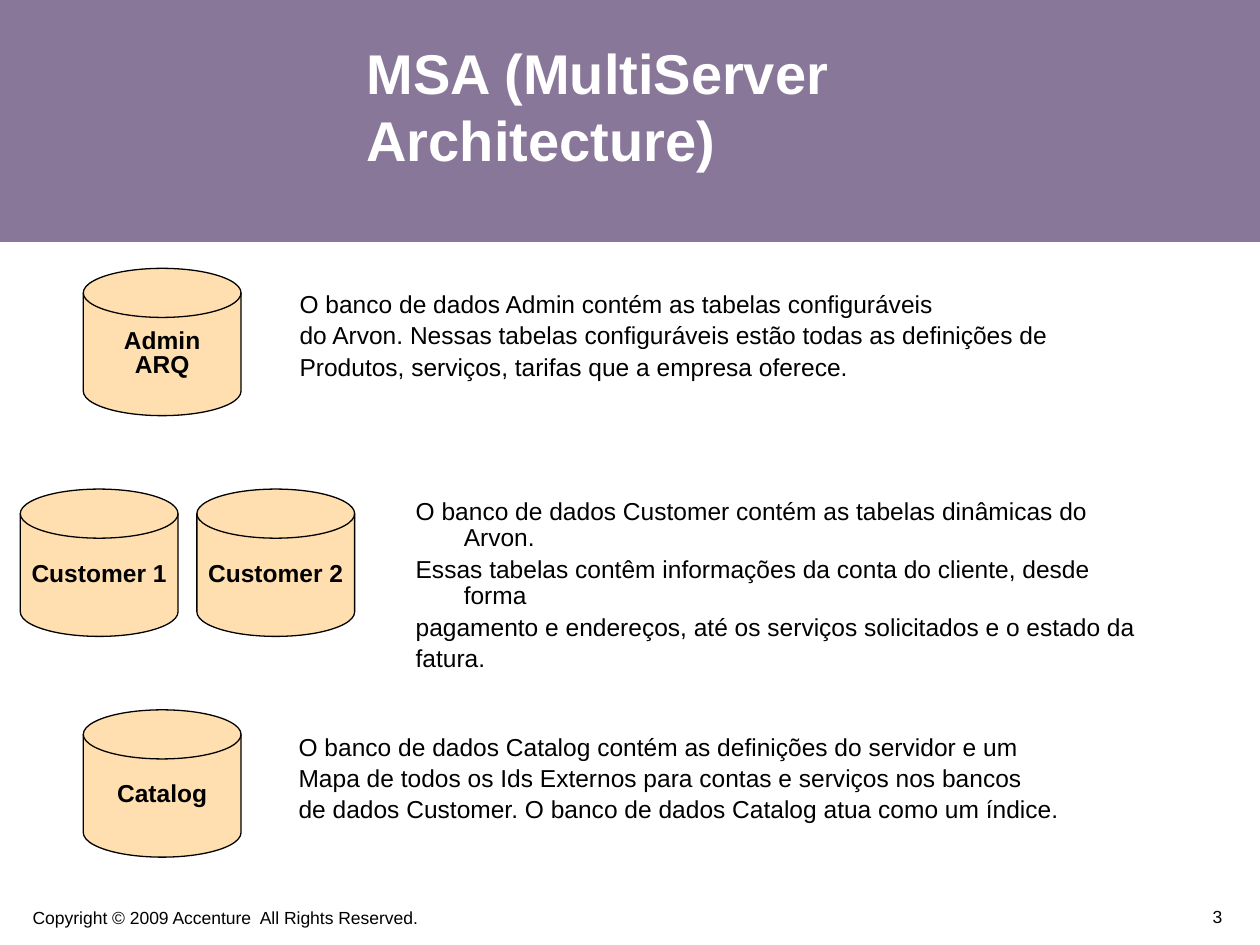
from pptx import Presentation
from pptx.dml.color import RGBColor
from pptx.enum.shapes import MSO_SHAPE as Shape
from pptx.enum.text import MSO_ANCHOR as Anchor, PP_ALIGN as Align
from pptx.util import Cm, Pt

PURPLE = RGBColor(0x88, 0x77, 0x99)
PEACH = RGBColor(0xFF, 0xDF, 0xAF)
BLACK = RGBColor(0, 0, 0)
WHITE = RGBColor(0xFF, 0xFF, 0xFF)

SLIDE_W, SLIDE_H = 25.4, 19.05
DISK_W, DISK_H = 3.18, 2.97
ROW_TOP, ROW_PITCH = 5.41, 4.45
HANGING = Cm(0.97)

ROWS = [
    (1.68, ["Admin\nARQ"], (4.11, 0.36, 18.24),
     ["O banco de dados Admin contém as tabelas configuráveis",
      "do Arvon. Nessas tabelas configuráveis estão todas as definições de",
      "Produtos, serviços, tarifas que a empresa oferece."]),
    (0.41, ["Customer 1", "Customer 2"], (7.72, 0.08, 15.44),
     ["O banco de dados Customer contém as tabelas dinâmicas do Arvon.",
      "Essas tabelas contêm informações da conta do cliente, desde forma",
      "pagamento e endereços, até os serviços solicitados e o estado da",
      "fatura."]),
    (1.68, ["Catalog"], (4.09, 0.38, 18.24),
     ["O banco de dados Catalog contém as definições do servidor e um",
      "Mapa de todos os Ids Externos para contas e serviços nos bancos",
      "de dados Customer. O banco de dados Catalog atua como um índice."]),
]


def write(tf, text, size, color=BLACK, bold=False, align=Align.LEFT, spacing=1.0):
    """Fill a text frame and format every paragraph alike."""
    tf.text = text
    for p in tf.paragraphs:
        p.alignment = align
        p.line_spacing = spacing
        for r in p.runs:
            r.font.name = "Arial"
            r.font.size = Pt(size)
            r.font.bold = bold
            r.font.color.rgb = color


def add_text(s, left, top, width, height, text, size, wrap=True, **style):
    """Add a text box and return its text frame."""
    box = s.shapes.add_textbox(Cm(left), Cm(top), Cm(width), Cm(height))
    tf = box.text_frame
    tf.word_wrap = wrap
    write(tf, text, size, **style)
    return tf


def add_header(s, left, top, width, height):
    """Draw the title band with the title inside it."""
    band = s.shapes.add_shape(Shape.RECTANGLE, Cm(left), Cm(top), Cm(width), Cm(height))
    band.shadow.inherit = False
    band.fill.solid()
    band.fill.fore_color.rgb = PURPLE
    band.line.fill.background()
    tf = add_text(s, left + 7.14, top + 1.73, 12.4, 3.18,
                  "MSA (MultiServer Architecture)", 32, color=WHITE, bold=True)
    tf.vertical_anchor = Anchor.BOTTOM
    tf.margin_bottom = Cm(1.43)


def add_disk(s, left, top, label):
    """Draw one database cylinder."""
    sp = s.shapes.add_shape(Shape.FLOWCHART_MAGNETIC_DISK,
                            Cm(left), Cm(top), Cm(DISK_W), Cm(DISK_H))
    sp.shadow.inherit = False
    sp.fill.solid()
    sp.fill.fore_color.rgb = PEACH
    sp.line.color.rgb = BLACK
    sp.line.width = Pt(0.75)
    tf = sp.text_frame
    tf.word_wrap = False
    tf.vertical_anchor = Anchor.MIDDLE
    write(tf, label, 14, bold=True, align=Align.CENTER, spacing=0.8)


def add_row(s, left, top, labels, text_box, lines):
    """Place the cylinders of a row and their description."""
    for i, label in enumerate(labels):
        add_disk(s, left + i * 3.56, top, label)
    dx, dy, width = text_box
    tf = add_text(s, left + dx, top + dy, width, 2.67, "\n".join(lines), 14, spacing=0.9)
    for i, p in enumerate(tf.paragraphs):
        p.space_before = Pt(2.8 if i else 0)
        pPr = p._p.get_or_add_pPr()
        pPr.set("marL", str(HANGING))
        pPr.set("indent", str(-HANGING))


def add_footer(s, left, top, width):
    """Place the copyright line and the page number."""
    add_text(s, left, top + 0.18, 8.31, 0.58,
             "Copyright © 2009 Accenture  All Rights Reserved.", 10, wrap=False, spacing=0.8)
    tf = add_text(s, left + width - 4.7, top, 4.7, 0.76, "3", 10, align=Align.RIGHT)
    tf.vertical_anchor = Anchor.BOTTOM


def main():
    """Build the slide and save it."""
    prs = Presentation()
    prs.slide_width, prs.slide_height = Cm(SLIDE_W), Cm(SLIDE_H)
    s = prs.slides.add_slide(prs.slide_layouts[6])
    add_header(s, 0, 0, SLIDE_W, 4.88)
    for i, (left, labels, text_box, lines) in enumerate(ROWS):
        add_row(s, left, ROW_TOP + i * ROW_PITCH, labels, text_box, lines)
    add_footer(s, 0.41, 18.06, 24.48)
    prs.save("out.pptx")


if __name__ == "__main__":
    main()
